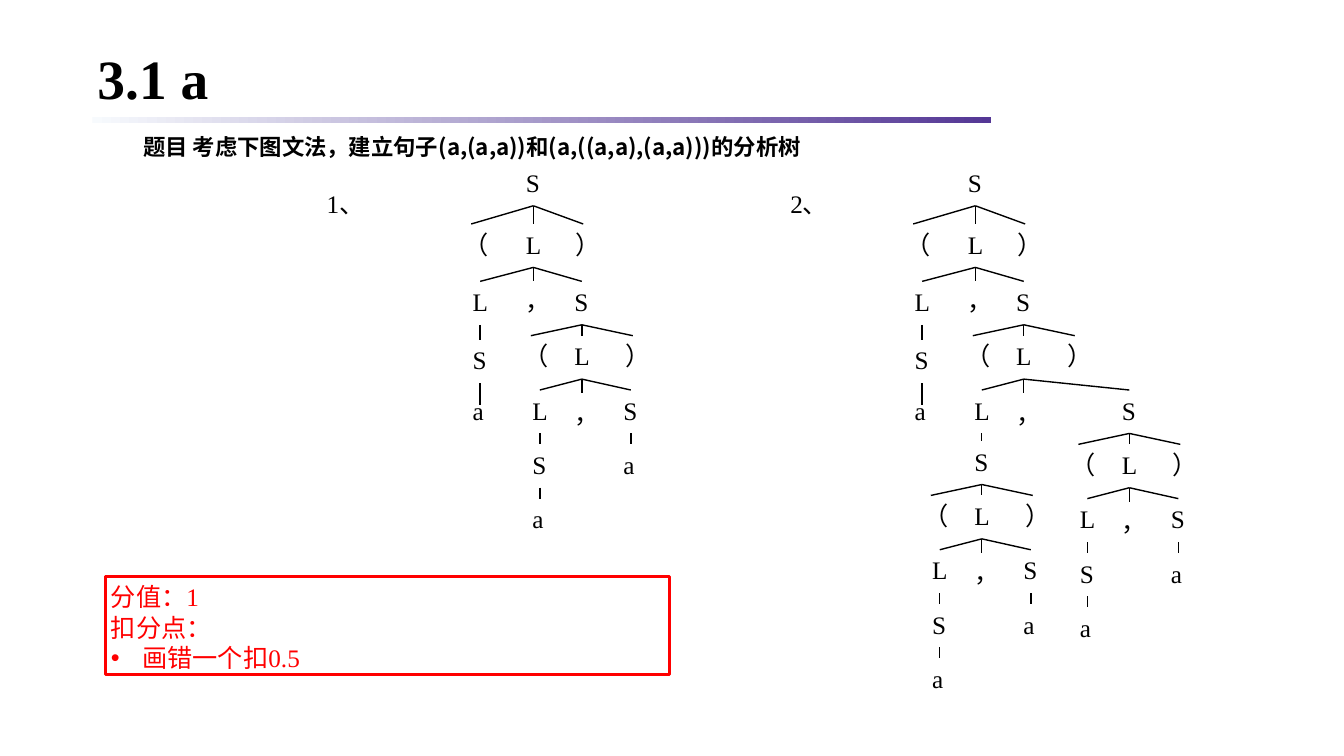
from dataclasses import dataclass, field

from lxml import etree
from pptx import Presentation
from pptx import util as u
from pptx.dml.color import RGBColor
from pptx.enum import shapes, text
from pptx.oxml.ns import qn


@dataclass(frozen=True)
class Theme:
    ink: str = "000000"
    alert: str = "FF0000"
    rule_start: str = "F7FAFD"
    rule_end: str = "543795"
    latin: str = "Times New Roman"
    chinese: str = "Noto Sans CJK SC"
    title_size: float = 39.6
    question_size: float = 16
    body_size: float = 18
    branch_width: float = 1
    border_width: float = 2.25


THEME = Theme()
LABEL_WIDTH, LABEL_HEIGHT = 18, 31
ROOT_TOP = 116
INSET = 3.6


@dataclass
class Node:
    """A symbol, placed relative to its parent; reach lengthens its branch."""
    symbol: str
    dx: float = 0
    dy: float = 0
    children: list = field(default_factory=list)
    reach: float = 0


# Subtrees
def bracketed(dx, dy, items, left=-36.4, right=36.4, drop=38.8):
    return Node("S", dx, dy, [Node("（", left, drop),
                              Node("L", 0, drop, items),
                              Node("）", right, drop)])


def pair(dx, dy):
    head = Node("L", -30, 38.8, [Node("S", 0, 38.8, [Node("a", 0, 38.8)])])
    tail = Node("S", 35, 38.8, [Node("a", 0, 38.8)])
    return bracketed(dx, dy, [head, Node("，", 0, 41), tail])


def sentence(tail):
    atom = Node("a", 0, 36, reach=11)
    head = Node("L", -38, 41, [Node("S", 0, 41.6, [atom])])
    return bracketed(0, 0, [head, Node("，", 0, 40.4), tail],
                     left=-44.4, right=35.6, drop=44)


# Text
def add_bullet(paragraph, indent):
    properties = paragraph._p.get_or_add_pPr()
    properties.set("marL", str(u.Pt(indent)))
    properties.set("indent", str(-u.Pt(indent)))
    etree.SubElement(properties, qn("a:buFont")).set("typeface", "Arial")
    etree.SubElement(properties, qn("a:buChar")).set("char", "•")


def write_text(shape, lines, size=THEME.body_size, color=THEME.ink,
               latin=THEME.latin, bold=False, bulleted=(), spacing=None,
               anchor=text.MSO_ANCHOR.TOP, insets=(INSET,) * 4):
    frame = shape.text_frame
    frame.word_wrap = True
    frame.auto_size = text.MSO_AUTO_SIZE.NONE
    frame.vertical_anchor = anchor
    (frame.margin_left, frame.margin_top,
     frame.margin_right, frame.margin_bottom) = map(u.Pt, insets)
    for index, line in enumerate(lines):
        paragraph = frame.paragraphs[0] if index == 0 else frame.add_paragraph()
        if index in bulleted:
            add_bullet(paragraph, 22.5)
        paragraph.alignment = text.PP_ALIGN.LEFT
        if spacing:
            paragraph.line_spacing = spacing
        run = paragraph.add_run()
        run.text = line
        run.font.size = u.Pt(size)
        run.font.bold = bold
        run.font.name = latin
        run.font.color.rgb = RGBColor.from_string(color)
        east_asian = etree.SubElement(run._r.get_or_add_rPr(), qn("a:ea"))
        east_asian.set("typeface", THEME.chinese)


def add_label(slide, lines, left, top, width, height, **style):
    label = slide.shapes.add_textbox(*map(u.Pt, (left, top, width, height)))
    write_text(label, lines, **style)


# Boxes and branches
def add_box(slide, left, top, width, height):
    box = slide.shapes.add_shape(shapes.MSO_SHAPE.RECTANGLE,
                                 *map(u.Pt, (left, top, width, height)))
    box.shadow.inherit = False
    return box


def add_branch(slide, x1, y1, x2, y2):
    branch = slide.shapes.add_connector(shapes.MSO_CONNECTOR.STRAIGHT,
                                        *map(u.Pt, (x1, y1, x2, y2)))
    branch.line.color.rgb = RGBColor.from_string(THEME.ink)
    branch.line.width = u.Pt(THEME.branch_width)
    etree.SubElement(branch._element.spPr, qn("a:effectLst"))


def add_tree(slide, node, center, top):
    add_label(slide, [node.symbol], center - LABEL_WIDTH / 2, top,
              LABEL_WIDTH, LABEL_HEIGHT)
    for child in node.children:
        child_center, child_top = center + child.dx, top + child.dy
        add_branch(slide, center, top + LABEL_HEIGHT,
                   child_center, child_top + child.reach)
        add_tree(slide, child, child_center, child_top)


def add_title(slide, heading):
    title = slide.shapes.title
    title.left, title.top, title.width, title.height = map(
        u.Pt, (66, 31, 828, 54))
    write_text(title, [heading], size=THEME.title_size, bold=True,
               spacing=0.9, anchor=text.MSO_ANCHOR.MIDDLE)


def add_title_rule(slide):
    rule = add_box(slide, 66, 83.8, 642, 4)
    rule.line.fill.background()
    rule.fill.gradient()
    rule.fill.gradient_angle = 0
    stops = zip(rule.fill.gradient_stops, (THEME.rule_start, THEME.rule_end))
    for position, (stop, color) in enumerate(stops):
        stop.position = position
        stop.color.rgb = RGBColor.from_string(color)


def add_scoring(slide, lines):
    scoring = add_box(slide, 75.6, 412, 402.5, 70)
    scoring.fill.background()
    scoring.line.color.rgb = RGBColor.from_string(THEME.alert)
    scoring.line.width = u.Pt(THEME.border_width)
    write_text(scoring, lines, color=THEME.alert, bulleted=(2,))


def main():
    deck = Presentation()
    deck.slide_width, deck.slide_height = u.Pt(960), u.Pt(540)
    slide = deck.slides.add_slide(deck.slide_layouts[5])

    # Heading and question
    add_title_rule(slide)
    add_title(slide, "3.1 a")
    add_label(slide, ["题目 考虑下图文法，建立句子(a,(a,a))和(a,((a,a),(a,a)))的分析树"],
              101.5, 85, 828, 29.5, size=THEME.question_size,
              latin=THEME.chinese, bold=True, insets=(0.7, 10, 0, 0))

    # Scoring rules
    add_scoring(slide, ["分值：1", "扣分点：", "画错一个扣0.5"])

    # Parse trees
    nested_head = Node("L", -30, 38.8, [pair(0, 36.5)])
    nested_pairs = bracketed(34.6, 41, [nested_head, Node("，", 0, 41),
                                        pair(75.4, 38.8)])
    answers = [("1、", 229.7, 381, sentence(pair(34.6, 41))),
               ("2、", 560.9, 696.7, sentence(nested_pairs))]
    for number, number_left, root_center, tree in answers:
        add_label(slide, [number], number_left, 131, 37.4, 29.5)
        add_tree(slide, tree, root_center, ROOT_TOP)

    deck.save("out.pptx")


if __name__ == "__main__":
    main()
